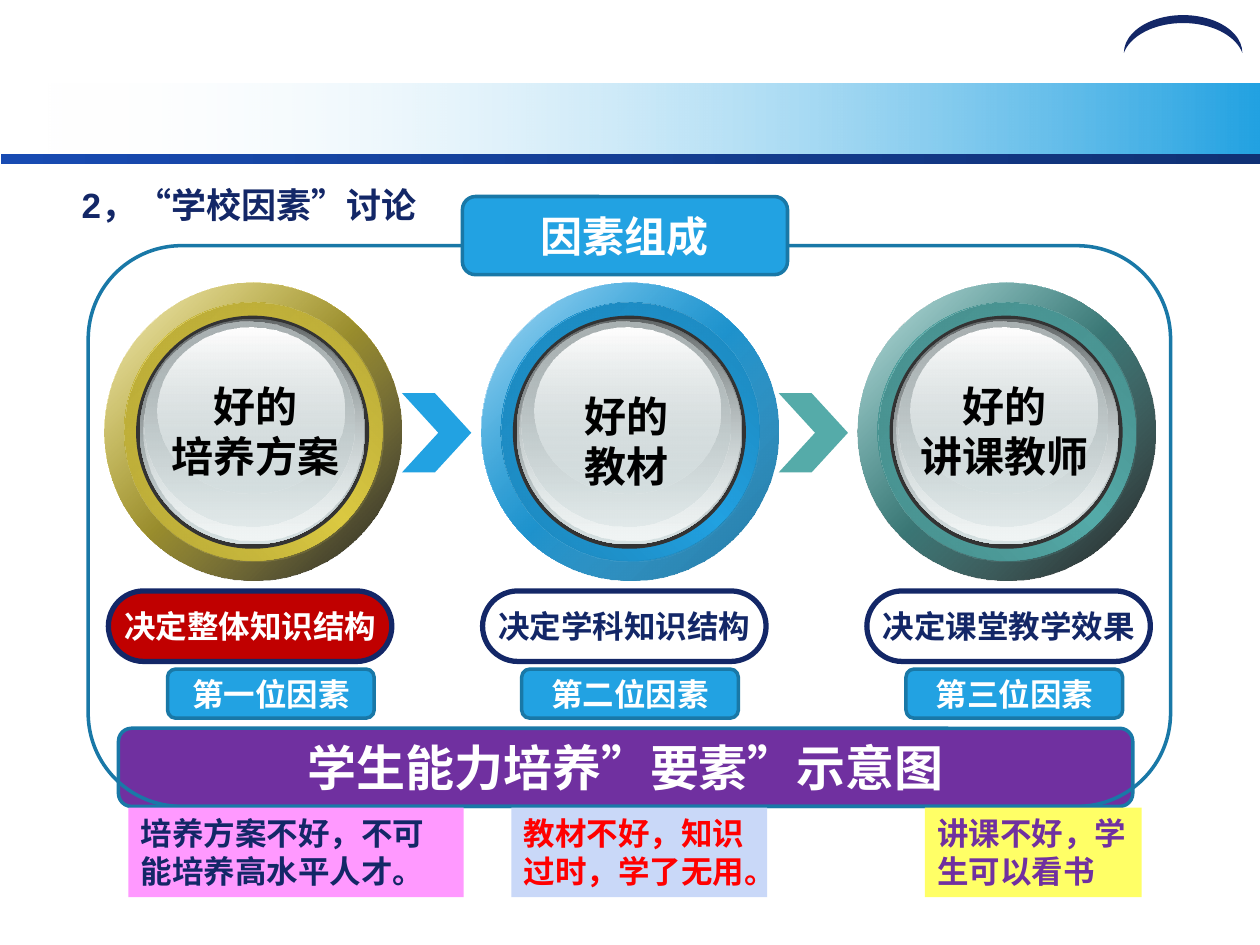
from pptx import Presentation
from pptx.dml.color import RGBColor
from pptx.enum.shapes import MSO_SHAPE as Geo
from pptx.enum.text import MSO_ANCHOR as Anchor, PP_ALIGN as Align
from pptx.oxml import parse_xml
from pptx.oxml.ns import nsdecls, qn
from pptx.util import Inches, Pt
from dataclasses import dataclass


@dataclass(frozen=True)
class Theme:
    navy: str = "132767"
    blue: str = "22A2E2"
    edge: str = "1978A7"
    gold: str = "DCCA42"
    teal: str = "55ABA9"
    purple: str = "7030A0"
    crimson: str = "C00000"
    red: str = "FF0000"
    white: str = "FFFFFF"
    black: str = "000000"
    rim: str = "333333"
    glass: str = "D6E1E2"
    font: str = "Arial"
    pill_font: str = "DejaVu Sans"
    small: int = 18
    heading: int = 20
    large: int = 24
    banner: int = 28


theme = Theme()
CELL = Inches(0.1)  # the slide is a grid of 100 columns by 75 rows

deck = Presentation()
deck.slide_width, deck.slide_height = 100 * CELL, 75 * CELL
slide = deck.slides.add_slide(deck.slide_layouts[6])


def draw(parent, geometry, col, row, cols, rows, paint=None, outline=None, width=2, adjust=None):
    """Add a shape; paint is a colour or (angle, (position, colour, opacity), ...)."""
    shape = parent.shapes.add_shape(geometry, *(round(n * CELL) for n in (col, row, cols, rows)))
    shape.shadow.inherit = False
    if adjust is not None:
        shape.adjustments[0] = adjust
    if outline:
        shape.line.color.rgb = RGBColor.from_string(outline)
        shape.line.width = Pt(width)
    else:
        shape.line.fill.background()
    if paint is None:
        shape.fill.background()
    elif isinstance(paint, str):
        shape.fill.solid()
        shape.fill.fore_color.rgb = RGBColor.from_string(paint)
    else:
        angle, *stops = paint
        stop_xml = "".join(
            f'<a:gs pos="{pos * 1000}"><a:srgbClr val="{color}">'
            f'<a:alpha val="{opacity * 1000}"/></a:srgbClr></a:gs>'
            for pos, color, opacity in stops)
        gradient = parse_xml(
            f'<a:gradFill {nsdecls("a")} rotWithShape="1"><a:gsLst>{stop_xml}</a:gsLst>'
            f'<a:lin ang="{angle * 60000}" scaled="0"/></a:gradFill>')
        shape._element.spPr.find(qn("a:prstGeom")).addnext(gradient)
    return shape


def write(shape, lines, size, color, font=theme.font, align=Align.CENTER, anchor=Anchor.MIDDLE, wrap=True):
    frame = shape.text_frame
    frame.word_wrap = wrap
    frame.vertical_anchor = anchor
    frame.text = lines
    for paragraph in frame.paragraphs:
        paragraph.alignment = align
        paragraph.font.name = font
        paragraph.font.size = Pt(size)
        paragraph.font.bold = True
        paragraph.font.color.rgb = RGBColor.from_string(color)


# Header band and emblem arc
draw(slide, Geo.RECTANGLE, 3.3, 6.65, 96.7, 5.8, (0, (0, theme.white, 0), (100, theme.blue, 100)))
draw(slide, Geo.RECTANGLE, 0.1, 12.2, 99.9, 0.8, (0, (0, "184BB2", 100), (100, "103175", 100)))
arc = draw(slide, Geo.MOON, 92.4, -2, 3, 9.4, theme.navy, adjust=0.21)
arc.rotation = 90

# Three factors: dial, label, effect pill and rank
DIAL, PITCH, DIAL_LEFT, DIAL_TOP = 23.6, 29.9, 8.3, 22.45
glass_layers = [
    (2.5, 2.6, 18.5, 18.5, theme.rim),
    (2.8, 2.85, 17.9, 17.9, (90, (0, "636869", 100), (100, theme.glass, 100))),
    (3.05, 2.95, 17.5, 17.5, (90, (0, theme.glass, 0), (100, "F1F5F5", 100))),
    (3.2, 3.05, 16.6, 16.3, (90, (0, "AAB2B3", 100), (100, theme.glass, 48))),
    (4.2, 3.55, 14.8, 13.2, (90, (0, theme.white, 100), (100, theme.glass, 38))),
]
# tone, ring shade, bevel shade, outer shade and opacity, label, its column and row,
# effect, its column, fill and text colour, rank, its column and width
factors = [
    (theme.gold, "A89B33", "B5A636", theme.black, 90, "好的\n培养方案", 12.5, 29.7,
     "决定整体知识结构", 8.6, theme.crimson, theme.white, "第一位因素", 13.3, 16.4),
    (theme.blue, "1A7CAD", "1C85BA", "1874A2", 100, "好的\n教材", 41.9, 30.5,
     "决定学科知识结构", 38.3, None, theme.navy, "第二位因素", 41.4, 17.2),
    (theme.teal, "418381", "468C8B", theme.black, 90, "好的\n讲课教师", 71.9, 29.7,
     "决定课堂教学效果", 68.8, None, theme.navy, "第三位因素", 71.9, 17.2),
]
arrow_tones = [theme.blue, theme.teal]

for i, (tone, ring, bevel, shade, opacity, label, label_col, label_row,
        effect, effect_col, effect_fill, effect_color, rank, rank_col, rank_cols) in enumerate(factors):
    group = slide.shapes.add_group_shape()
    left = DIAL_LEFT + i * PITCH
    if i < len(arrow_tones):
        draw(group, Geo.CHEVRON, left + DIAL, 31.2, 5.5, 6.3, arrow_tones[i], adjust=0.525)
    ring_layers = [
        (0, 0, DIAL, DIAL, (45, (0, theme.white, 100), (50, tone, 100), (100, theme.white, 100))),
        (0, 0, DIAL, DIAL, (45, (0, tone, 32), (100, shade, opacity))),
        (1.55, 1.55, 20.5, 20.5, (315, (0, ring, 100), (50, tone, 100), (100, ring, 100))),
        (1.6, 1.6, 20.5, 20.5, (45, (0, bevel, 100), (100, tone, 0))),
    ]
    for dx, dy, cols, rows, paint in ring_layers + glass_layers:
        draw(group, Geo.OVAL, left + dx, DIAL_TOP + dy, cols, rows, paint)

    pill = draw(group, Geo.ROUNDED_RECTANGLE, effect_col, 46.9, 22.5, 5.6, effect_fill,
                theme.navy, 3, 0.5)
    write(pill, effect, theme.small, effect_color, theme.pill_font, wrap=False)
    caption = draw(group, Geo.RECTANGLE, label_col, label_row, 15.6, 9.1)
    write(caption, label, theme.large, theme.black, anchor=Anchor.TOP, wrap=False)
    badge = draw(group, Geo.ROUNDED_RECTANGLE, rank_col, 53.1, rank_cols, 3.9, theme.blue, theme.edge)
    write(badge, rank, theme.small, theme.white)

# Banner below the factors, with the frame around everything
banner = draw(slide, Geo.ROUNDED_RECTANGLE, 9.4, 57.8, 80.5, 6.2, theme.purple, theme.edge)
write(banner, "学生能力培养”要素”示意图", theme.banner, theme.white)
draw(slide, Geo.ROUNDED_RECTANGLE, 7, 19.5, 85.9, 44.5, outline=theme.edge)

# Consequences
consequences = [
    ("教材不好，知识过时，学了无用。", 40.6, 20.3, "C9D8F8", theme.red),
    ("讲课不好，学生可以看书", 73.4, 17.2, "FFFF66", theme.purple),
    ("培养方案不好，不可能培养高水平人才。", 10.2, 26.6, "FF99FF", theme.navy),
]
for sentence, col, cols, paint, color in consequences:
    note = draw(slide, Geo.RECTANGLE, col, 64.1, cols, 7.1, paint)
    write(note, sentence, theme.small, color, align=Align.LEFT, anchor=Anchor.TOP)

# Heading and frame title
heading = draw(slide, Geo.RECTANGLE, 5.5, 14.1, 30.5, 4.4)
write(heading, "2，“学校因素”讨论", theme.heading, theme.navy, align=Align.LEFT, anchor=Anchor.TOP)
frame_title = draw(slide, Geo.ROUNDED_RECTANGLE, 36.7, 15.6, 25.8, 6.2, theme.blue, theme.edge)
write(frame_title, "因素组成", theme.large, theme.white)

deck.save("out.pptx")
